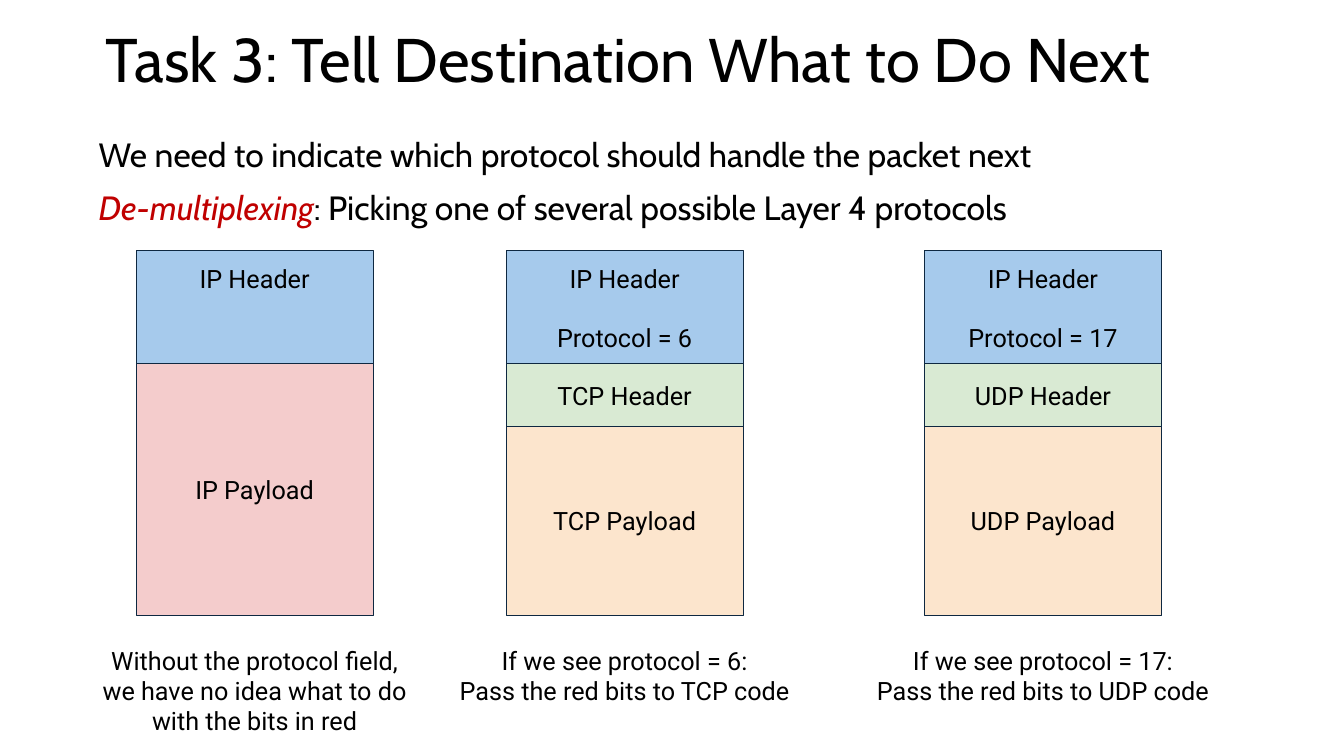
from dataclasses import dataclass

from pptx import Presentation
from pptx import util as u
from pptx.dml.color import RGBColor
from pptx.enum import shapes, text


@dataclass(frozen=True)
class Theme:
    ink: str = "000000"
    accent: str = "C00000"
    outline: str = "0E2841"
    ip_header: str = "A6CAEC"
    unknown: str = "F4CCCC"
    header: str = "D9EAD3"
    payload: str = "FCE5CD"
    heading_font: str = "Cabin"
    label_font: str = "Roboto"
    title_size: int = 44
    body_size: int = 24
    label_size: int = 18


THEME = Theme()
CENTER = text.PP_ALIGN.CENTER
TOP, MIDDLE = text.MSO_ANCHOR.TOP, text.MSO_ANCHOR.MIDDLE


def write(sp, paragraphs, font=THEME.label_font, size=THEME.label_size, align=None,
          anchor=TOP, line=None, gap=0, inset=0.1, grow=False):
    """Fill a shape; a paragraph is a string or a list of (text, colour, italic)."""
    tf = sp.text_frame
    tf.word_wrap = True
    tf.auto_size = text.MSO_AUTO_SIZE.SHAPE_TO_FIT_TEXT if grow else text.MSO_AUTO_SIZE.NONE
    tf.vertical_anchor = anchor
    tf.margin_left = tf.margin_right = u.Inches(0.1)
    tf.margin_top = tf.margin_bottom = u.Inches(inset)
    for i, runs in enumerate(paragraphs):
        p = tf.add_paragraph() if i else tf.paragraphs[0]
        p.alignment, p.line_spacing = align, line
        if i and gap:
            p.space_before = u.Pt(gap)
        if isinstance(runs, str):
            runs = [(runs, THEME.ink, False)]
        for words, colour, italic in runs:
            r = p.add_run()
            r.text = words
            r.font.name, r.font.size, r.font.italic = font, u.Pt(size), italic
            r.font.color.rgb = RGBColor.from_string(colour)


class Deck:
    """Holds the theme and current slide; boxes are percentages of the slide's size."""

    def __init__(self, theme):
        self.theme = theme
        self.prs = Presentation()
        self.prs.slide_width, self.prs.slide_height = u.Inches(13.33), u.Inches(7.5)
        self.s = self.prs.slides.add_slide(self.prs.slide_layouts[6])

    def place(self, left, top, width, height):
        w, h = self.prs.slide_width, self.prs.slide_height
        return [round(share * side / 100)
                for share, side in zip((left, top, width, height), (w, h, w, h))]

    def textbox(self, box, paragraphs, **style):
        write(self.s.shapes.add_textbox(*self.place(*box)), paragraphs, **style)

    def block(self, box, fill, paragraphs, **style):
        sp = self.s.shapes.add_shape(shapes.MSO_SHAPE.RECTANGLE, *self.place(*box))
        sp.shadow.inherit = False
        sp.fill.solid()
        sp.fill.fore_color.rgb = RGBColor.from_string(fill)
        sp.line.color.rgb = RGBColor.from_string(self.theme.outline)
        sp.line.width = u.Pt(0.75)
        write(sp, paragraphs, align=CENTER, **style)

    def packet(self, left, ip_lines, layers, caption, caption_width):
        """Stack an IP header and (label, fill, height) layers above a centred caption."""
        width, top, ip_height = 17.63, 33.2, 14.93
        self.block((left, top, width, ip_height), self.theme.ip_header, ip_lines,
                   inset=0.12, gap=21)
        top += ip_height
        for label, fill, height in layers:
            self.block((left, top, width, height), fill, [label], anchor=MIDDLE)
            top += height
        caption_left = left + (width - caption_width) / 2
        caption_height = 10.8 if len(caption) > 1 else 14.8
        self.textbox((caption_left, 84, caption_width, caption_height), caption,
                     align=CENTER, grow=True)


def main():
    deck = Deck(THEME)
    deck.textbox((7.13, 3.2, 85.75, 13.07), ["Task 3: Tell Destination What to Do Next"],
                 font=THEME.heading_font, size=THEME.title_size, line=0.9, inset=0.05)
    deck.textbox((6.6, 16.93, 86.27, 27.47), [
        "We need to indicate which protocol should handle the packet next",
        [("De-multiplexing", THEME.accent, True),
         (": Picking one of several possible Layer 4 protocols", THEME.ink, False)],
    ], font=THEME.heading_font, size=THEME.body_size, line=0.9, gap=12)

    header_height, payload_height = 8.27, 24.97
    deck.packet(10.13, ["IP Header"],
                [("IP Payload", THEME.unknown, header_height + payload_height)],
                ["Without the protocol field, we have no idea what to do with the bits in red"],
                24.76)
    for left, name, number, caption_width in ((37.66, "TCP", 6, 26.78),
                                              (68.79, "UDP", 17, 27.98)):
        deck.packet(left, ["IP Header", f"Protocol = {number}"],
                    [(f"{name} Header", THEME.header, header_height),
                     (f"{name} Payload", THEME.payload, payload_height)],
                    [f"If we see protocol = {number}:",
                     f"Pass the red bits to {name} code"], caption_width)
    deck.prs.save("out.pptx")


if __name__ == "__main__":
    main()
